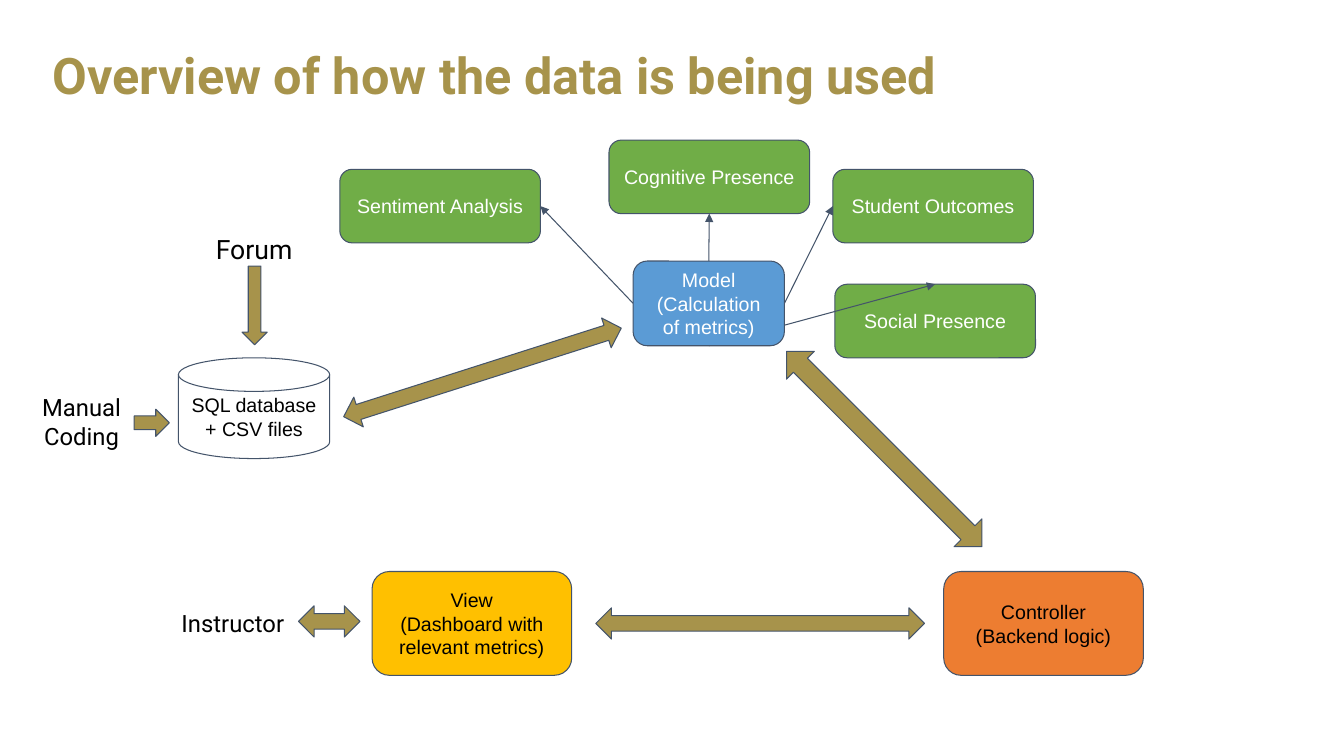
from copy import deepcopy
from dataclasses import dataclass

from lxml import etree
from pptx import Presentation
from pptx import util as u
from pptx.dml.color import RGBColor
from pptx.enum import shapes, text
from pptx.oxml.ns import qn

PX = 9144  # one px is a hundredth of an inch


@dataclass(frozen=True)
class Theme:
    gold: str = "A7934B"
    outline: str = "44546A"
    yellow: str = "FFC000"
    orange: str = "ED7D31"
    green: str = "70AD47"
    blue: str = "5B9BD5"
    white: str = "FFFFFF"
    black: str = "000000"
    box_font: str = "Arial"
    label_font: str = "Roboto"
    title_size: int = 36
    source_size: int = 19
    label_size: int = 17
    box_size: int = 14
    line_width: float = 0.75


theme = Theme()
prs = Presentation()
prs.slide_width, prs.slide_height = 1333 * PX, 750 * PX
slide = prs.slides.add_slide(prs.slide_layouts[6])
kind = shapes.MSO_SHAPE


def write(holder, words, size=theme.box_size, font=theme.box_font, color=theme.black,
          bold=False, align=text.PP_ALIGN.CENTER, anchor=text.MSO_ANCHOR.MIDDLE,
          pad_y=10, spacing=None):
    frame = holder.text_frame
    frame.word_wrap = True
    frame.vertical_anchor = anchor
    frame.margin_left = frame.margin_right = 10 * PX
    frame.margin_top = frame.margin_bottom = pad_y * PX
    line = frame.paragraphs[0]
    line.text = words
    line.alignment = align
    line.line_spacing = spacing
    for run in line.runs:
        run.font.size, run.font.name, run.font.bold = u.Pt(size), font, bold
        run.font.color.rgb = RGBColor.from_string(color)
    # Line breaks take the same format as the words around them
    for line_break in line._p.findall(qn("a:br")):
        line_break.append(deepcopy(line.runs[0]._r.rPr))


def draw(preset, place, fill, rotation=0):
    figure = slide.shapes.add_shape(preset, *(n * PX for n in place))
    figure.shadow.inherit = False
    figure.fill.solid()
    figure.fill.fore_color.rgb = RGBColor.from_string(fill)
    figure.line.color.rgb = RGBColor.from_string(theme.outline)
    figure.line.width = u.Pt(theme.line_width)
    figure.rotation = rotation
    return figure


# Title
title = slide.shapes.add_textbox(*(n * PX for n in (42, 22, 1250, 111)))
write(title, "Overview of how the data is being used", size=theme.title_size,
      font=theme.label_font, color=theme.gold, bold=True,
      align=text.PP_ALIGN.LEFT, pad_y=5, spacing=0.9)

# View, controller, database and model
components = {}
for name, preset, place, fill, color, words in [
    ("view", kind.ROUNDED_RECTANGLE, (369, 567, 198, 103), theme.yellow, theme.black,
     "View\n(Dashboard with relevant metrics)"),
    ("controller", kind.ROUNDED_RECTANGLE, (936, 567, 198, 103), theme.orange, theme.black,
     "Controller\n(Backend logic)"),
    ("database", kind.FLOWCHART_MAGNETIC_DISK, (177, 355, 150, 100), theme.white, theme.black,
     "SQL database\n+ CSV files"),
    ("model", kind.ROUNDED_RECTANGLE, (628, 259, 150, 84), theme.blue, theme.white,
     "Model\n(Calculation of metrics)"),
]:
    components[name] = draw(preset, place, fill)
    write(components[name], words, color=color)
model = components["model"]

# Metrics, each joined to the model: sides are 0 top, 1 left, 2 bottom, 3 right
for words, left, top, model_side, metric_side in [
    ("Cognitive Presence", 604, 139, 0, 2),
    ("Social Presence", 828, 282, 2, 0),
    ("Student Outcomes", 826, 168, 3, 1),
    ("Sentiment Analysis", 337, 168, 1, 3),
]:
    metric = draw(kind.ROUNDED_RECTANGLE, (left, top, 199, 73), theme.green)
    write(metric, words, color=theme.white)
    link = slide.shapes.add_connector(shapes.MSO_CONNECTOR.STRAIGHT, 0, 0, 0, 0)
    link.begin_connect(model, model_side)
    link.end_connect(metric, metric_side)
    link.line.color.rgb = RGBColor.from_string(theme.outline)
    link.line.width = u.Pt(theme.line_width)
    etree.SubElement(link.line._get_or_add_ln(), qn("a:tailEnd"), type="triangle")
    etree.SubElement(link._element.spPr, qn("a:effectLst"))

# The model covers the start of its links
model._element.getparent().append(model._element)

# People and sources around the system
for words, place, size in [
    ("Forum", (198, 221, 108, 52), theme.source_size),
    ("Instructor", (156, 594, 150, 49), theme.label_size),
    ("Manual Coding", (6, 380, 150, 77), theme.label_size),
]:
    label = slide.shapes.add_textbox(*(n * PX for n in place))
    write(label, words, size=size, font=theme.label_font, anchor=text.MSO_ANCHOR.TOP)

# Block arrows for the data flow
for preset, place, rotation in [
    (kind.DOWN_ARROW, (240, 264, 25, 78), 0),             # forum to database
    (kind.RIGHT_ARROW, (133, 406, 35, 27), 0),            # coding to database
    (kind.LEFT_RIGHT_ARROW, (296, 601, 61, 31), 0),       # instructor and view
    (kind.LEFT_RIGHT_ARROW, (591, 603, 326, 31), 0),      # view and controller
    (kind.LEFT_RIGHT_ARROW, (740, 426, 274, 39), 45),     # model and controller
    (kind.LEFT_RIGHT_ARROW, (334, 354, 289, 31), 342.3),  # database and model
]:
    draw(preset, place, theme.gold, rotation)

prs.save("out.pptx")
